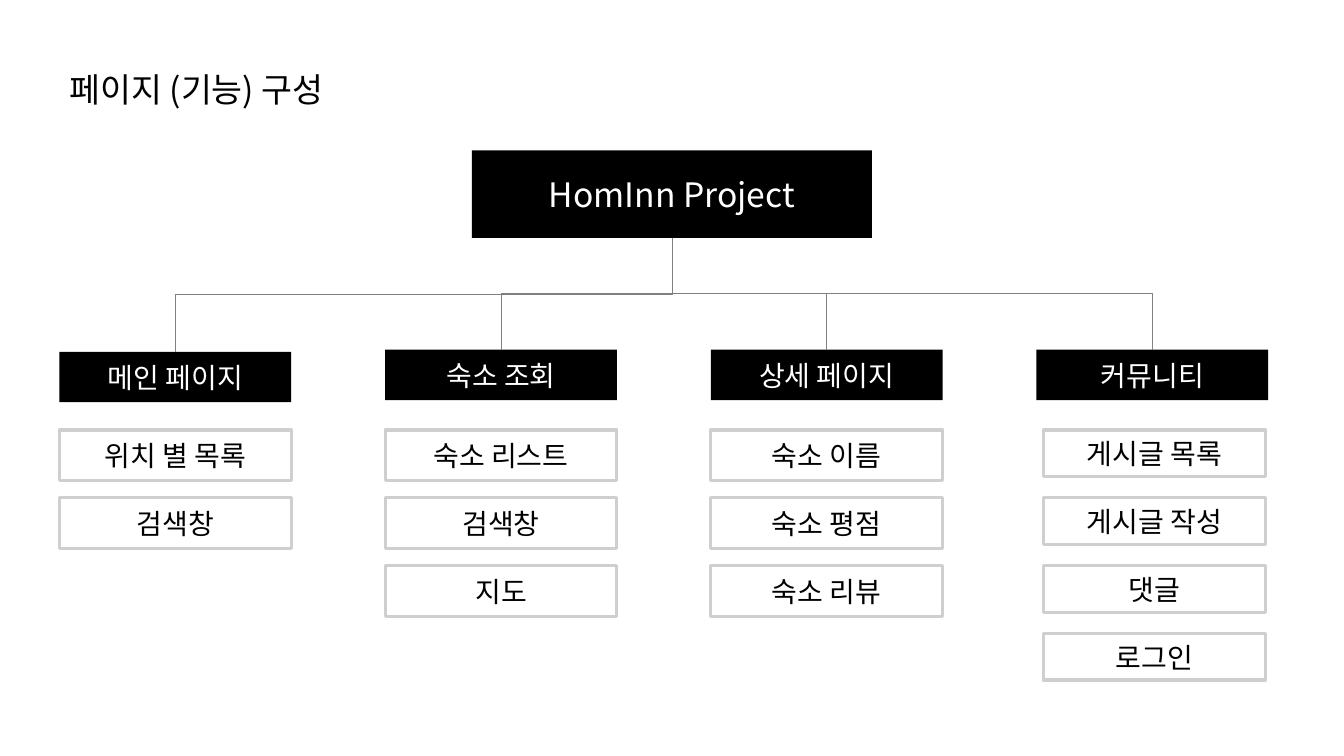
"""Build a site map slide: a project box over four page columns."""
from lxml.etree import SubElement
from pptx import Presentation
from pptx.dml.color import RGBColor
from pptx.enum.shapes import MSO_CONNECTOR as Connector, MSO_SHAPE as Shape
from pptx.enum.text import MSO_ANCHOR as Anchor, MSO_AUTO_SIZE as AutoSize, PP_ALIGN as Align
from pptx.oxml.ns import qn
from pptx.util import Pt

BLACK = RGBColor(0x00, 0x00, 0x00)
WHITE = RGBColor(0xFF, 0xFF, 0xFF)
SILVER = RGBColor(0xD0, 0xCE, 0xCE)
GRAY = RGBColor(0x80, 0x80, 0x80)
FONT = "Noto Sans CJK KR"

ROOT = (337.1, 107.4, 285.8, 62.5)
COLUMN_LEFT, COLUMN_STEP = 42.5, 232.6
COLUMN_WIDTH, HEADER_HEIGHT = 165.6, 36
ITEM_TOP, ITEM_STEP = 307.2, 48.5
PAGES = [
    ("메인 페이지", 251.3, 0, 36, ["위치 별 목록", "검색창"]),
    ("숙소 조회", 249.8, 0, 36, ["숙소 리스트", "검색창", "지도"]),
    ("상세 페이지", 249.8, 0, 36, ["숙소 이름", "숙소 평점", "숙소 리뷰"]),
    ("커뮤니티", 249.8, 5, 33.1, ["게시글 목록", "게시글 작성", "댓글", "로그인"]),
]


def write_text(frame, text, size=20, color=BLACK, align=Align.CENTER,
               anchor=Anchor.MIDDLE, spacing=None):
    """Fill a text frame with one formatted paragraph."""
    frame.word_wrap = True
    frame.vertical_anchor = anchor
    para = frame.paragraphs[0]
    para.alignment = align
    para.line_spacing = spacing
    span = para.add_run()
    span.text = text
    span.font.size = Pt(size)
    span.font.color.rgb = color
    span.font.name = FONT
    SubElement(span.font._element, qn("a:ea"), typeface=FONT)


def add_box(slide, box, text, filled=True, size=20):
    """Draw a solid black box or a silver outlined one, with its label."""
    shape = slide.shapes.add_shape(Shape.RECTANGLE, *map(Pt, box))
    shape.shadow.inherit = False
    if filled:
        shape.fill.solid()
        shape.fill.fore_color.rgb = BLACK
        shape.line.fill.background()
    else:
        shape.fill.background()
        shape.line.color.rgb = SILVER
        shape.line.width = Pt(2.25)
    write_text(shape.text_frame, text, size=size, color=WHITE if filled else BLACK)


def add_branch(slide, parent, child):
    """Join the bottom of a parent box to the top of a child with an elbow."""
    start_x, start_y = parent[0] + parent[2] / 2, parent[1] + parent[3]
    end_x, end_y = child[0] + child[2] / 2, child[1]
    middle_x, middle_y = (start_x + end_x) / 2, (start_y + end_y) / 2
    half_drop, half_span = (end_y - start_y) / 2, abs(end_x - start_x) / 2
    rightward = end_x > start_x
    if rightward:
        half_drop = -half_drop
    branch = slide.shapes.add_connector(
        Connector.ELBOW,
        Pt(middle_x - half_drop), Pt(middle_y - half_span),
        Pt(middle_x + half_drop), Pt(middle_y + half_span))
    branch.line.color.rgb = GRAY
    branch.line.width = Pt(0.5)
    properties = branch._element.spPr
    turn = 270 if rightward else 90
    properties.find(qn("a:xfrm")).set("rot", str(turn * 60000))
    SubElement(properties, qn("a:effectLst"))


def add_title(slide, box, text):
    """Write the slide title."""
    title = slide.shapes.add_textbox(*map(Pt, box))
    write_text(title.text_frame, text, size=24, align=Align.LEFT,
               anchor=Anchor.TOP, spacing=1.5)
    title.text_frame.auto_size = AutoSize.SHAPE_TO_FIT_TEXT


def add_page_column(slide, header, name, inset, item_height, items):
    """Draw a page header and its feature boxes below it."""
    left, _, width, _ = header
    add_box(slide, header, name)
    item_width = width - 7.2 if inset else width
    for row, item in enumerate(items):
        box = (left + inset, ITEM_TOP + row * ITEM_STEP, item_width, item_height)
        add_box(slide, box, item, filled=False)


def add_site_map(slide):
    """Draw the project box, its page columns and the branches between them."""
    add_box(slide, ROOT, "HomInn Project", size=24)
    for index, (name, top, inset, item_height, items) in enumerate(PAGES):
        header = (COLUMN_LEFT + index * COLUMN_STEP, top, COLUMN_WIDTH, HEADER_HEIGHT)
        add_page_column(slide, header, name, inset, item_height, items)
        add_branch(slide, ROOT, header)


deck = Presentation()
deck.slide_width, deck.slide_height = Pt(960), Pt(540)
page = deck.slides.add_slide(deck.slide_layouts[6])
add_site_map(page)
add_title(page, (42.5, 31, 480, 45.4), "페이지 (기능) 구성")
deck.save("out.pptx")
